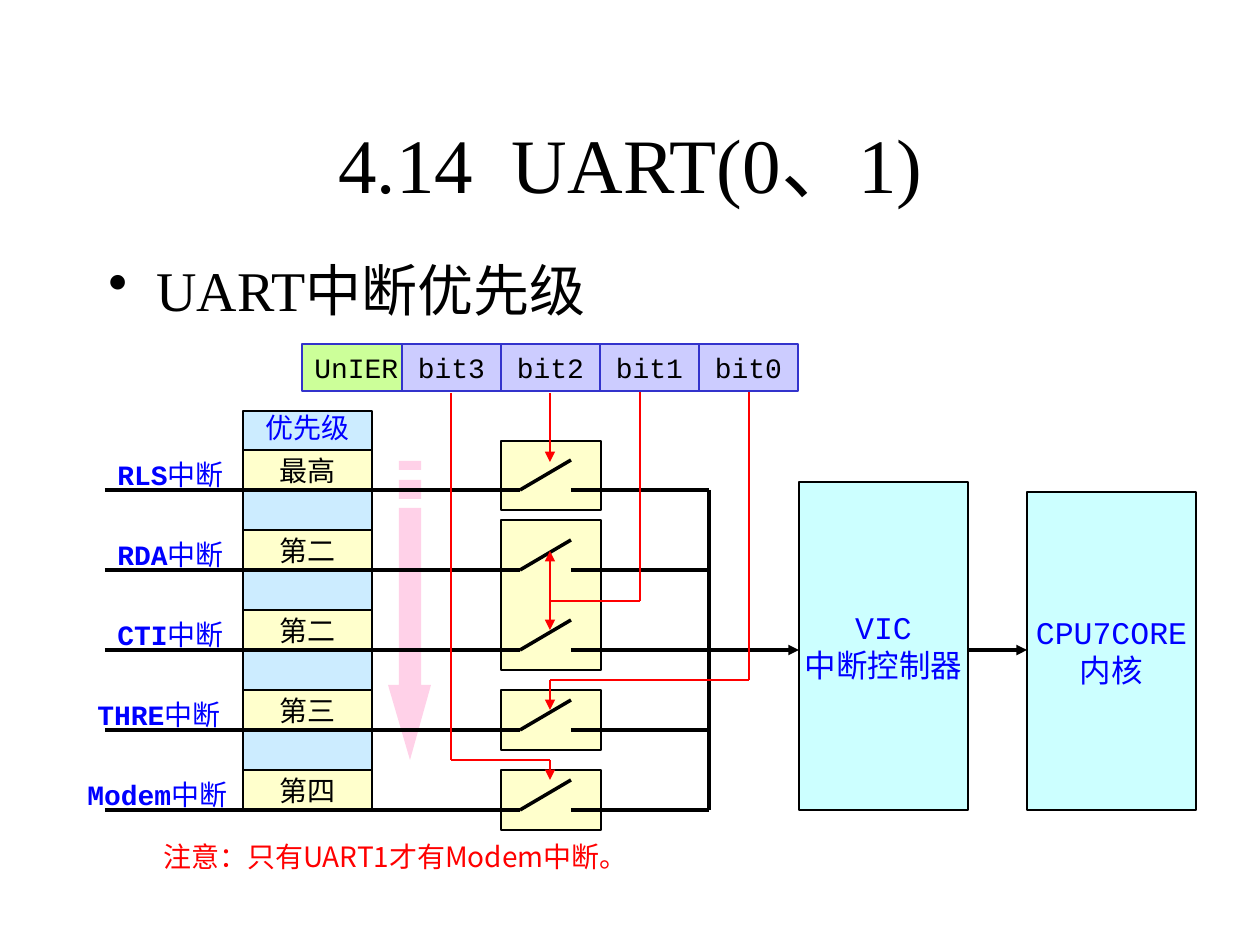
from lxml import etree
from pptx import Presentation
from pptx import util as u
from pptx.dml.color import RGBColor
from pptx.enum import shapes, text
from pptx.oxml.ns import qn

# Content
HEADING = [("4.14", 0), (" ", 11), ("UART(0、1)", 0)]  # text, letter spacing in pt
TOPIC = "UART中断优先级"
NOTE = "注意：只有UART1才有Modem中断。"
REGISTER = "UnIER"
BITS = ["bit3", "bit2", "bit1", "bit0"]
PRIORITY_HEAD = "优先级"
SUFFIX = "中断"
# interrupt name, priority, label left, label width (px)
SOURCES = [("RLS", "最高", 105, 139), ("RDA", "第二", 105, 139), ("CTI", "第二", 105, 139),
           ("THRE", "第三", 85, 159), ("Modem", "第四", 75, 179)]
SWITCH_BOXES = [(441, 69), (520, 150), (690, 60), (770, 60)]  # top, height
BLOCKS = [((799, 482, 169, 328), ["VIC", "中断控制器"]),
          ((1027, 492, 169, 318), ["CPU7CORE", "内核"])]
# points, width, arrow at start, arrow at end
CONTROL_LINES = [
    ([(550, 551), (550, 630)], 1, True, True),
    ([(640, 383), (640, 601), (550, 601)], 0.75, False, False),
    ([(749, 383), (749, 680), (550, 680), (550, 710)], 0.75, False, True),
    ([(451, 393), (451, 760), (550, 760), (550, 780)], 0.75, False, True),
    ([(550, 393), (550, 462)], 0.75, False, True),
]
# Fading arrow: two stripes and a body
ARROW_PARTS = [
    [(399, 461), (421, 461), (421, 470), (399, 470)],
    [(399, 480), (421, 480), (421, 499), (399, 499)],
    [(399, 508), (421, 508), (421, 685), (431, 685), (410, 760), (388, 685), (399, 685)],
]

THEME = {
    "black": "000000", "blue": "0000FF", "red": "FF0000", "edge": "3333CC",
    "sky": "CCECFF", "cream": "FFFFCC", "aqua": "CCFFFF", "lime": "CCFF99",
    "violet": "CCCCFF", "pink": "FF99CC",
    "serif": "Times New Roman", "mono": "Courier New", "cjk": "Noto Sans CJK JP",
    "title": 44, "topic": 32, "block": 18, "label": 16,
}

# Geometry in px
PX = 914400 / 126
ROW_TOP, ROW_STEP, CELL_H = 490, 80, 40
COL_X, COL_W = 243, 129
WIRE_X, SWITCH_X, CONTACT_X, BUS_X = 105, 520, 571, 709
BOX_X, BOX_W = 501, 100
BIT_X, BIT_Y, BIT_W, BIT_H = 402, 344, 99, 47
WIRES = [ROW_TOP + ROW_STEP * i for i in range(len(SOURCES))]

prs = Presentation()
prs.slide_width, prs.slide_height = u.Inches(10), u.Inches(7.5)
slide = prs.slides.add_slide(prs.slide_layouts[5])


def emu(*lengths):
    return [u.Emu(round(n * PX)) for n in lengths]


def rgb(name):
    return RGBColor.from_string(THEME[name])


def write(paragraph, words, size, color, face="serif", bold=False):
    run = paragraph.add_run()
    run.text = words
    font = run.font
    font.size, font.name, font.bold = u.Pt(THEME[size]), THEME[face], bold
    font.color.rgb = rgb(color)
    east = etree.SubElement(run._r.get_or_add_rPr(), qn("a:ea"))
    east.set("typeface", THEME["cjk"])
    return run


def rect(place, fill, edge="black", width=1):
    box = slide.shapes.add_shape(shapes.MSO_SHAPE.RECTANGLE, *emu(*place))
    box.shadow.inherit = False
    box.fill.solid()
    box.fill.fore_color.rgb = rgb(fill)
    box.line.color.rgb = rgb(edge)
    box.line.width = u.Pt(width)
    return box


def fill_text(box, lines, size, color, face="serif",
              align=text.PP_ALIGN.CENTER, anchor=text.MSO_ANCHOR.MIDDLE):
    frame = box.text_frame
    frame.word_wrap = False
    frame.vertical_anchor = anchor
    for i, words in enumerate(lines):
        paragraph = frame.add_paragraph() if i else frame.paragraphs[0]
        paragraph.alignment = align
        write(paragraph, words, size, color, face)
    return frame


def text_box(place, wrap=True):
    frame = slide.shapes.add_textbox(*emu(*place)).text_frame
    frame.word_wrap = wrap
    return frame


def line(start, end, color="black", width=2, head=False, tail=False):
    link = slide.shapes.add_connector(shapes.MSO_CONNECTOR.STRAIGHT, *emu(*start, *end))
    link.line.color.rgb = rgb(color)
    link.line.width = u.Pt(width)
    for tag, wanted in (("a:headEnd", head), ("a:tailEnd", tail)):
        if wanted:
            etree.SubElement(link.line._get_or_add_ln(), qn(tag)).set("type", "triangle")
    etree.SubElement(link._element.spPr, qn("a:effectLst"))


# Title and topic
title = slide.shapes.title
title.left, title.top, title.width, title.height = emu(95, 84, 1071, 158)
title.text_frame.vertical_anchor = text.MSO_ANCHOR.MIDDLE
title.text_frame.auto_size = text.MSO_AUTO_SIZE.NONE
heading = title.text_frame.paragraphs[0]
heading.alignment = text.PP_ALIGN.CENTER
for words, spacing in HEADING:
    run = write(heading, words, "title", "black")
    if spacing:
        run._r.rPr.set("spc", str(spacing * 100))

topic = text_box((96, 249, 1060, 84)).paragraphs[0]
props = topic._p.get_or_add_pPr()
indent = emu(48)[0]
props.set("marL", str(indent))
props.set("indent", str(-indent))
etree.SubElement(props, qn("a:buChar")).set("char", "•")
write(topic, TOPIC, "topic", "black")

# Priority column
column = rect((COL_X, 411, COL_W, WIRES[-1] - 411), "sky")
fill_text(column, [PRIORITY_HEAD], "label", "blue",
          anchor=text.MSO_ANCHOR.TOP).margin_top = 0
for wire, (_, priority, _, _) in zip(WIRES, SOURCES):
    cell = rect((COL_X, wire - CELL_H, COL_W, CELL_H), "cream")
    fill_text(cell, [priority], "label", "black")

# Fading arrow
builder = slide.shapes.build_freeform(*ARROW_PARTS[0][0], scale=PX)
for i, points in enumerate(ARROW_PARTS):
    if i:
        builder.move_to(*points[0])
    builder.add_line_segments(points[1:], close=True)
fading = builder.convert_to_shape()
fading.shadow.inherit = False
fading.fill.solid()
fading.fill.fore_color.rgb = rgb("pink")
tint = fading._element.spPr.find(".//" + qn("a:srgbClr"))
etree.SubElement(tint, qn("a:alpha")).set("val", "45000")
fading.line.fill.background()

# Switch boxes and processor blocks
for top, height in SWITCH_BOXES:
    rect((BOX_X, top, BOX_W, height), "cream")
for place, lines in BLOCKS:
    fill_text(rect(place, "aqua"), lines, "block", "blue", "mono")

# Interrupt labels, wires and switches
for wire, (name, _, left, width) in zip(WIRES, SOURCES):
    label = text_box((left, wire - 39, width, 47)).paragraphs[0]
    write(label, name, "label", "blue", "mono", bold=True)
    write(label, SUFFIX, "label", "blue", "mono")
    line((WIRE_X, wire), (SWITCH_X, wire))
    line((SWITCH_X, wire), (CONTACT_X, wire - 30))
    line((CONTACT_X, wire), (BUS_X, wire))

# Common bus to controller and core
line((BUS_X, WIRES[0]), (BUS_X, WIRES[-1]))
line((BUS_X, WIRES[2]), (799, WIRES[2]), tail=True)
line((968, WIRES[2]), (1027, WIRES[2]), tail=True)

# Enable bits controlling the switches
for points, width, head, tail in CONTROL_LINES:
    last = len(points) - 2
    for i, (start, end) in enumerate(zip(points, points[1:])):
        line(start, end, "red", width, head and i == 0, tail and i == last)

# Register
fill_text(rect((302, BIT_Y, 118, BIT_H), "lime", "edge", 0.75), [REGISTER],
          "label", "black", "mono", text.PP_ALIGN.LEFT)
line((511, 391), (610, 391), width=1)
for i, bit in enumerate(BITS):
    bit_box = rect((BIT_X + BIT_W * i, BIT_Y, BIT_W, BIT_H), "violet", "edge", 0.75)
    fill_text(bit_box, [bit], "label", "black", "mono")

# Note
note = text_box((137, 833, 517, 47), wrap=False).paragraphs[0]
note.alignment = text.PP_ALIGN.CENTER
write(note, NOTE, "label", "red", "cjk")

prs.save("out.pptx")
